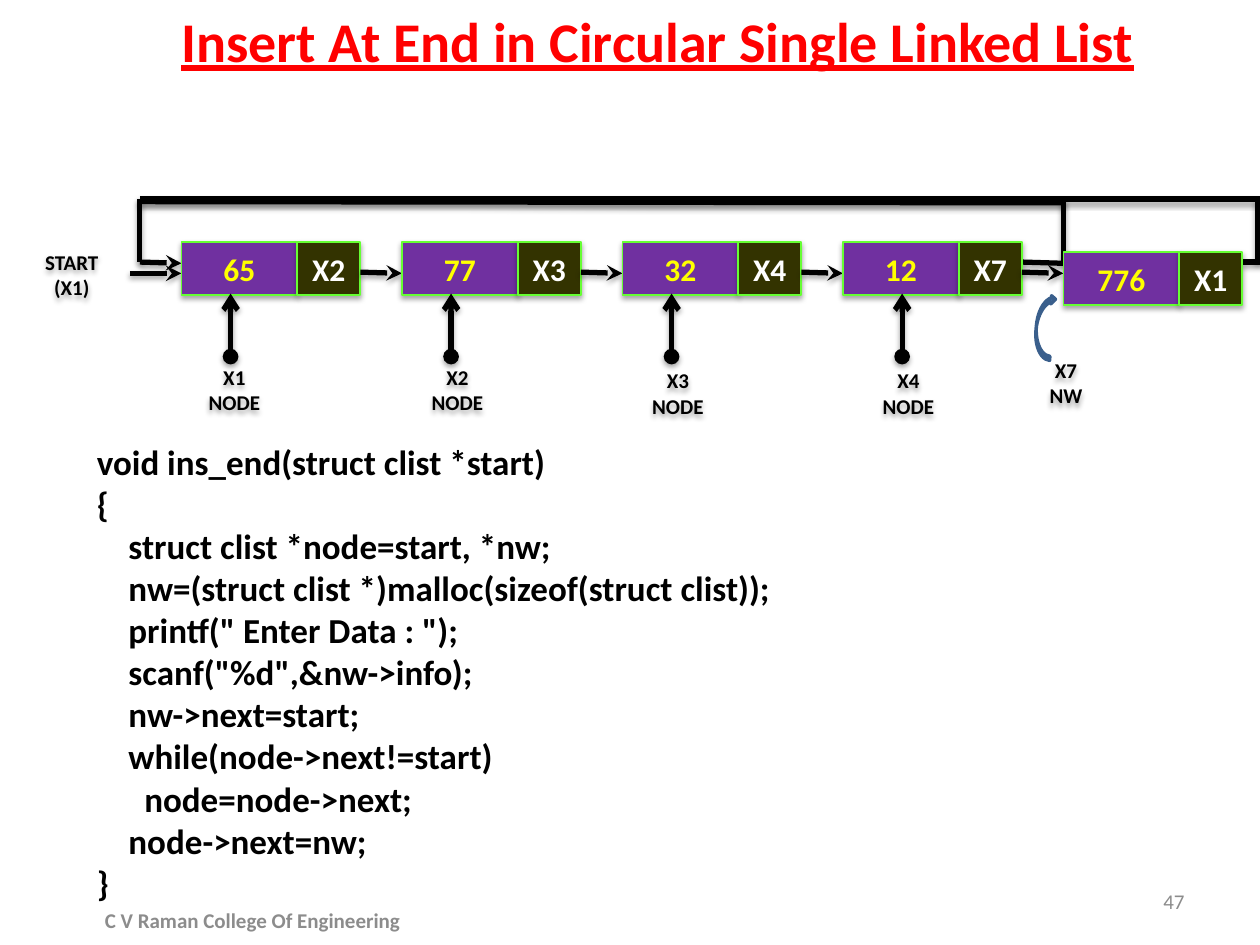
"""Builds the slide on inserting at the end of a circular single linked list."""
from lxml.etree import SubElement as Sub
from pptx import Presentation
from pptx.dml.color import RGBColor as Rgb
from pptx.enum.shapes import MSO_CONNECTOR as Conn, MSO_SHAPE as Kind
from pptx.enum.text import MSO_ANCHOR as Anchor, PP_ALIGN as Align
from pptx.oxml.ns import qn
from pptx.util import Pt

PX = 9144
HUES = {
    "ink": "000000", "title": "FF0000", "info": "7030A0", "next": "333300",
    "edge": "66FF33", "data": "FFFF00", "link": "FFFFFF", "foot": "8C8C8C",
    "arc": "4F81BD", "rim": "3A5F8C",
}
CODE = """void ins_end(struct clist *start)
{
    struct clist *node=start, *nw;
    nw=(struct clist *)malloc(sizeof(struct clist));
    printf(" Enter Data : ");
    scanf("%d",&nw->info);
    nw->next=start;
    while(node->next!=start)
      node=node->next;
    node->next=nw;
}"""


def hue(name):
    return Rgb.from_string(HUES[name])


def write(shape, text, size=12, color="ink", bold=True, line=False,
          align=Align.CENTER, anchor=Anchor.MIDDLE, wrap=True):
    frame = shape.text_frame
    frame.word_wrap = wrap
    frame.vertical_anchor = anchor
    for i, row in enumerate(text.split("\n")):
        para = frame.add_paragraph() if i else frame.paragraphs[0]
        para.alignment = align
        run = para.add_run()
        run.text = row
        font = run.font
        font.name, font.size, font.bold = "Calibri", Pt(size), bold
        font.underline = line
        font.color.rgb = hue(color)


def shade(shape):
    props = shape._element.spPr
    for old in props.findall(qn("a:effectLst")):
        props.remove(old)
    glow = Sub(Sub(props, qn("a:effectLst")), qn("a:outerShdw"),
               blurRad=str(Pt(3.1)), dist=str(Pt(1.8)), dir="5400000",
               rotWithShape="0")
    tint = Sub(glow, qn("a:srgbClr"), val=HUES["ink"])
    Sub(tint, qn("a:alpha"), val="35000")


class Deck:
    def __init__(self):
        self.show = Presentation()
        self.show.slide_width, self.show.slide_height = 1000 * PX, 750 * PX
        self.slide = self.show.slides.add_slide(self.show.slide_layouts[5])
        self.shapes = self.slide.shapes

    def title(self, text, x, y, w, h):
        head = self.shapes.title
        head.left, head.top, head.width, head.height = (
            n * PX for n in (x, y, w, h))
        write(head, text, size=32, color="title", line=True,
              align=Align.LEFT, anchor=Anchor.TOP, wrap=False)

    def text(self, text, x, y, w, h, **style):
        box = self.shapes.add_textbox(*(n * PX for n in (x, y, w, h)))
        write(box, text, **style)

    def shape(self, kind, x, y, w, h, fill=None, edge=None, width=1):
        item = self.shapes.add_shape(kind, *(n * PX for n in (x, y, w, h)))
        item.shadow.inherit = False
        if fill:
            item.fill.solid()
            item.fill.fore_color.rgb = hue(fill)
            item.line.color.rgb = hue(edge)
            item.line.width = Pt(width)
        else:
            item.fill.background()
            item.line.fill.background()
        return item

    def label(self, text, x, y, h):
        item = self.shape(Kind.OVAL, x, y, 92, h)
        shade(item)
        write(item, text)

    def node(self, x, y, data, link):
        cells = ((0, 92, data, "info", "data"), (92, 50, link, "next", "link"))
        for dx, w, text, fill, color in cells:
            cell = self.shape(Kind.RECTANGLE, x + dx, y, w, 42, fill, "edge")
            shade(cell)
            write(cell, text, size=18, color=color)

    def line(self, x1, y1, x2, y2, head=None, tail=None):
        item = self.shapes.add_connector(
            Conn.STRAIGHT, *(n * PX for n in (x1, y1, x2, y2)))
        item.line.color.rgb = hue("ink")
        item.line.width = Pt(3)
        stroke = item.line._get_or_add_ln()
        for tag, kind in (("a:headEnd", head), ("a:tailEnd", tail)):
            if kind:
                Sub(stroke, qn(tag), type=kind)
        shade(item)

    def arc(self, x, y, w, h, turn):
        item = self.shape(Kind.CURVED_DOWN_ARROW, x, y, w, h, "arc", "rim", 2)
        item.rotation = turn


def main():
    deck = Deck()
    deck.title("Insert At End in Circular Single Linked List", 134, 0, 783, 64)
    deck.text(CODE, 67, 345, 575, 380, size=20, align=Align.LEFT,
              anchor=Anchor.TOP)

    for path in ((111, 160, 844, 161), (844, 158, 844, 208),
                 (811, 208, 844, 209), (998, 158, 998, 208),
                 (986, 208, 1019, 208), (111, 158, 1019, 158),
                 (111, 158, 111, 208)):
        deck.line(*path)
    deck.line(111, 208, 144, 209, tail="stealth")
    deck.line(103, 217, 144, 217, tail="stealth")

    nodes = (("65", "X2"), ("77", "X3"), ("32", "X4"), ("12", "X7"))
    for i, (data, link) in enumerate(nodes):
        x = 144 + 175 * i
        deck.node(x, 192, data, link)
        deck.line(x + 142, 216, x + 175, 217, tail="stealth")
    deck.node(844, 200, "776", "X1")

    deck.label("START(X1)", 11, 197, 42)
    deck.label("X7\nNW", 800, 283, 42)
    deck.arc(803, 253, 52, 13, 275.5)
    marks = ((140, 283, 183), (317, 283, 358), (492, 286, 533), (675, 286, 716))
    for i, (x, y, mid) in enumerate(marks, 1):
        deck.label(f"X{i}\nNODE", x, y, 52)
        deck.line(mid, 283, mid, 233, head="oval", tail="arrow")

    deck.text("47", 717, 695, 233, 40, color="foot", bold=False,
              align=Align.RIGHT)
    deck.text("C V Raman College Of Engineering", 67, 710, 267, 40,
              color="foot")
    deck.show.save("out.pptx")


if __name__ == "__main__":
    main()
